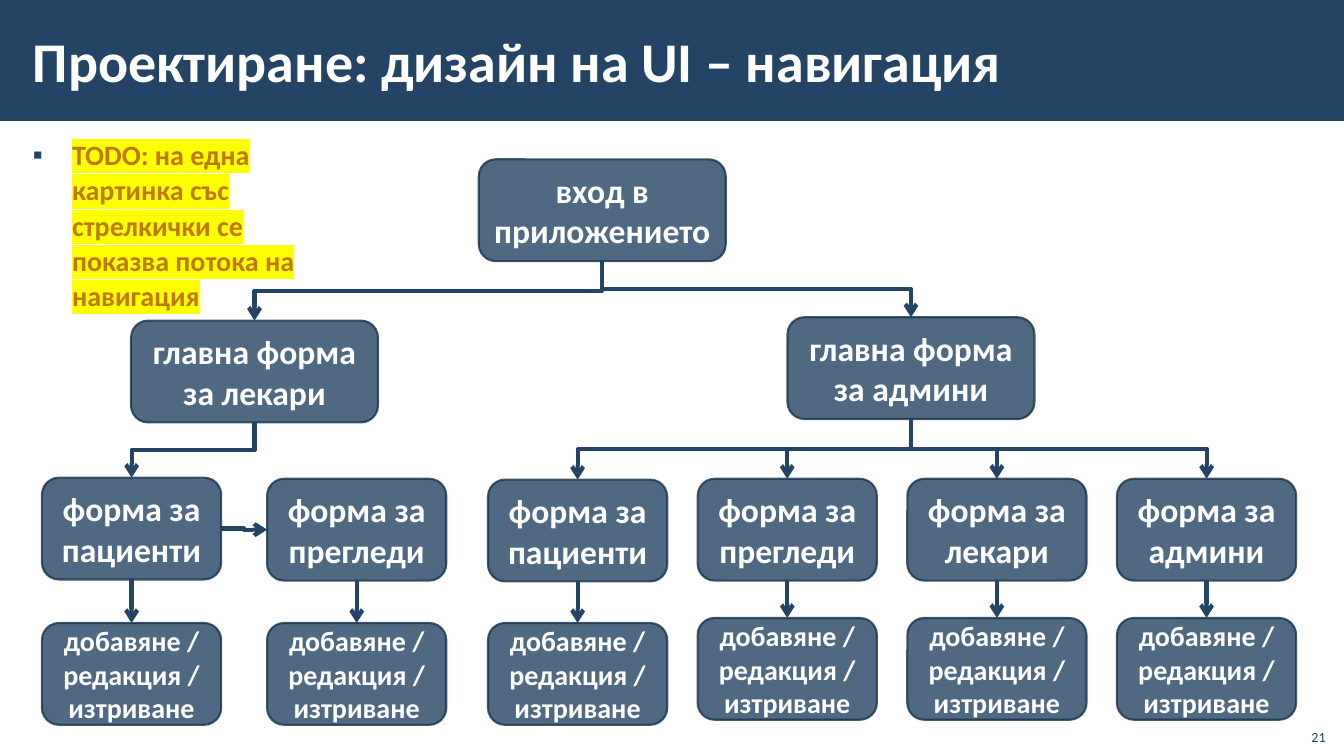
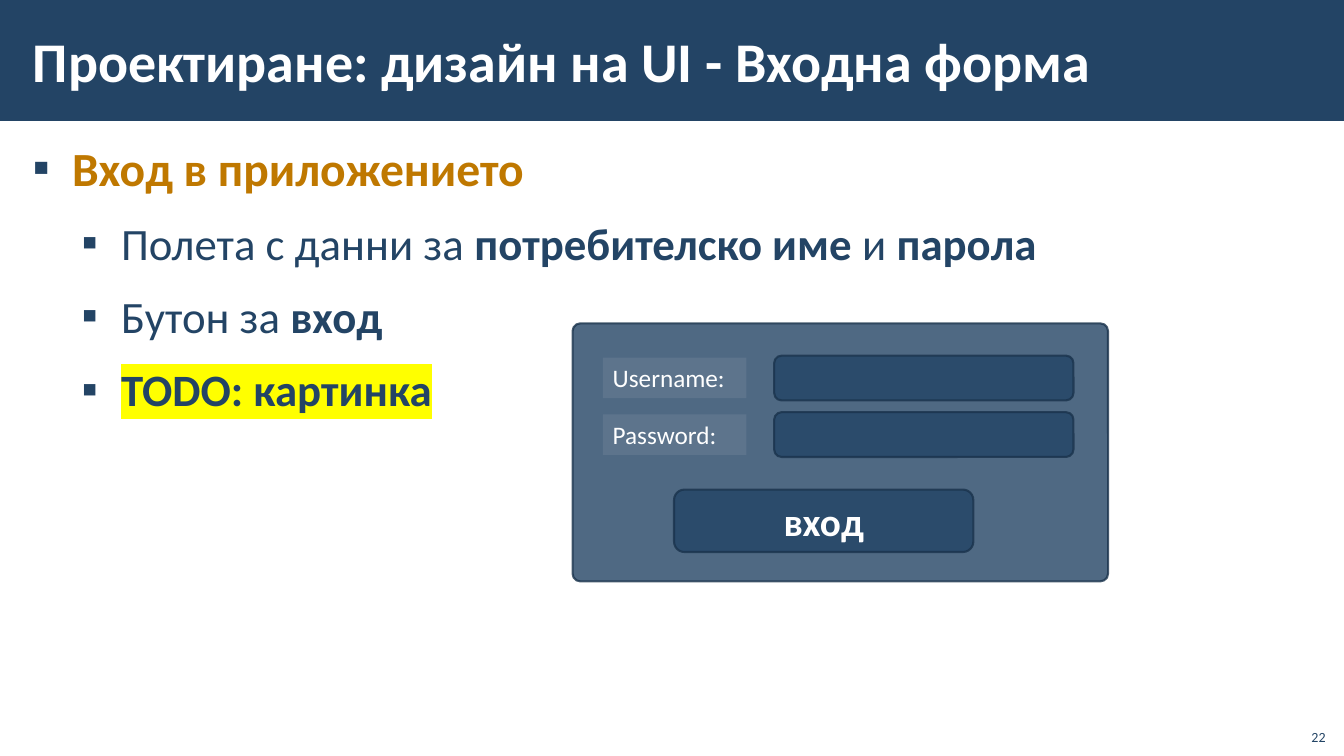
from dataclasses import dataclass

from lxml import etree
from pptx import Presentation
from pptx.dml.color import RGBColor
from pptx.enum import shapes as kinds, text as txt
from pptx.oxml import ns
from pptx.util import Pt


@dataclass(frozen=True)
class Theme:
    font: str = "Calibri"
    navy: str = "234465"
    edge: str = "1A334C"
    gold: str = "BF7800"
    white: str = "FFFFFF"
    pale: str = "ADB4C3"
    mark: str = "FFFF00"
    title: int = 40
    head: int = 34
    item: int = 32
    button: int = 28
    node: int = 24
    small: int = 20
    label: int = 18
    number: int = 10


@dataclass(frozen=True)
class Box:
    left: float
    top: float
    width: float
    height: float


@dataclass(frozen=True)
class Bit:
    text: str
    bold: bool = True
    mark: bool = False


@dataclass(frozen=True)
class Line:
    bits: tuple[Bit, ...]
    size: int
    color: str
    level: int = 0


@dataclass(frozen=True)
class Form:
    text: str
    left: float
    top: float
    edit: float  # top of the box below


LOOK = Theme()
ROUND = kinds.MSO_SHAPE.ROUNDED_RECTANGLE
RECT = kinds.MSO_SHAPE.RECTANGLE
MID = txt.MSO_ANCHOR.MIDDLE
LEFT, RIGHT = txt.PP_ALIGN.LEFT, txt.PP_ALIGN.RIGHT
CENTER = txt.PP_ALIGN.CENTER
RIM = 1.5
STROKE = 3
TOP, WEST, BASE, EAST = range(4)  # connection sites


# --- Basic helpers ---
def rgb(code: str) -> RGBColor:
    return RGBColor.from_string(code)


def sub(node, tag: str, **attrs: str):
    return etree.SubElement(node, ns.qn(tag), attrs)


def place(shape, box: Box) -> None:
    shape.left, shape.top = Pt(box.left), Pt(box.top)
    shape.width, shape.height = Pt(box.width), Pt(box.height)


def style(run, size: int, color: str, bold: bool = False) -> None:
    run.font.name = LOOK.font
    run.font.size = Pt(size)
    run.font.bold = bold
    run.font.color.rgb = rgb(color)


def fill(frame, words: str, size: int, color: str, bold: bool, align, anchor) -> None:
    frame.word_wrap = True
    frame.auto_size = txt.MSO_AUTO_SIZE.NONE
    frame.vertical_anchor = anchor
    frame.text = words
    para = frame.paragraphs[0]
    para.alignment = align
    for run in para.runs:
        style(run, size, color, bold)


def block(slide, box: Box, kind=ROUND, color: str = LOOK.navy, alpha: int = 80, rim: bool = True):
    shape = slide.shapes.add_shape(
        kind, Pt(box.left), Pt(box.top), Pt(box.width), Pt(box.height))
    shape.shadow.inherit = False
    shape.fill.solid()
    shape.fill.fore_color.rgb = rgb(color)
    if rim:
        shape.line.color.rgb = rgb(LOOK.edge)
        shape.line.width = Pt(RIM)
    else:
        shape.line.fill.background()
    if alpha < 100:
        for tint in shape._element.spPr.iter(ns.qn("a:srgbClr")):
            sub(tint, "a:alpha", val=str(alpha * 1000))
    return shape


def node(slide, words: str, box: Box, size: int = LOOK.node):
    shape = block(slide, box)
    fill(shape.text_frame, words, size, LOOK.white, True, CENTER, MID)
    return shape


# --- Connectors ---
def link(slide, start, end, elbow: bool = False, sites: tuple[int, int] = (BASE, TOP)) -> None:
    kind = kinds.MSO_CONNECTOR.ELBOW if elbow else kinds.MSO_CONNECTOR.STRAIGHT
    wire = slide.shapes.add_connector(kind, 0, 0, 0, 0)
    wire.begin_connect(start, sites[0])
    wire.end_connect(end, sites[1])
    if elbow and sites[0] == BASE:
        stand(wire)
    wire.line.color.rgb = rgb(LOOK.navy)
    wire.line.width = Pt(STROKE)
    props = wire._element.spPr
    sub(props.find(ns.qn("a:ln")), "a:tailEnd", type="arrow")
    sub(props, "a:effectLst")


def stand(wire) -> None:
    """Turn an elbow so that it leaves downwards."""
    east = wire.end_x > wire.begin_x
    midx = (wire.begin_x + wire.end_x) // 2
    midy = (wire.begin_y + wire.end_y) // 2
    wide, high = wire.height, wire.width
    wire.left, wire.top = midx - wide // 2, midy - high // 2
    wire.width, wire.height = wide, high
    frame = wire._element.spPr.find(ns.qn("a:xfrm"))
    frame.set("rot", str((270 if east else 90) * 60000))
    frame.set("flipH", "1" if east else "0")


# --- Shared page ---
def inset(frame) -> None:
    frame.margin_left = frame.margin_right = Pt(8.5)
    frame.margin_top = frame.margin_bottom = Pt(2.83)


def bullet(para, level: int) -> None:
    para.level = level
    para.line_spacing = 1.05
    para.space_after = Pt(6)
    props = para._p.get_or_add_pPr()
    props.set("marL", str(Pt(28 + 35 * level)))
    props.set("indent", str(Pt(-28)))
    sub(sub(props, "a:buClr"), "a:srgbClr", val=LOOK.navy)
    sub(props, "a:buFont", typeface=LOOK.font)
    sub(props, "a:buChar", char="▪")


def listing(frame, lines: list[Line]) -> None:
    frame.word_wrap = True
    frame.auto_size = txt.MSO_AUTO_SIZE.NONE
    frame.vertical_anchor = txt.MSO_ANCHOR.TOP
    inset(frame)
    for i, line in enumerate(lines):
        para = frame.add_paragraph() if i else frame.paragraphs[0]
        para.space_before = Pt(6 if i else 0)
        bullet(para, line.level)
        for bit in line.bits:
            run = para.add_run()
            run.text = bit.text
            style(run, line.size, line.color, bit.bold)
            if bit.mark:
                glow = etree.Element(ns.qn("a:highlight"))
                sub(glow, "a:srgbClr", val=LOOK.mark)
                run.font._element.find(ns.qn("a:solidFill")).addnext(glow)


def page(deck, number: int, title: str, width: float, lines: list[Line]):
    slide = deck.slides.add_slide(deck.slide_layouts[1])
    head, body = slide.placeholders[0], slide.placeholders[1]
    place(head, Box(15, 8, 808.5, 70))
    inset(head.text_frame)
    fill(head.text_frame, title, LOOK.title, LOOK.white, True, LEFT, MID)
    place(body, Box(15, 94.3, width, 435.6))
    listing(body.text_frame, lines)
    note = slide.shapes.add_textbox(Pt(925.2), Pt(512.6), Pt(28.8), Pt(23))
    fill(note.text_frame, str(number), LOOK.number, LOOK.navy, False,
         RIGHT, txt.MSO_ANCHOR.BOTTOM)
    return slide


def band(slide) -> None:
    """Put the title band on the layout, behind its placeholders."""
    bar = block(slide, Box(0, 0, 960, 86.4), RECT, alpha=100, rim=False)
    slide.slide_layout.shapes._spTree.insert(2, bar._element)


# --- Slide: navigation tree ---
def column(slide, form: Form):
    top = node(slide, form.text, Box(form.left, form.top, 128, 72.7))
    edit = node(slide, "добавяне / редакция / изтриване",
                Box(form.left, form.edit, 128, 72.7), LOOK.small)
    link(slide, top, edit)
    return top


def tree(deck):
    todo = "TODO: на една картинка със стрелкички се показва потока на навигация"
    slide = page(deck, 21, "Проектиране: дизайн на UI – навигация", 234.7,
                 [Line((Bit(todo, mark=True),), LOOK.small, LOOK.gold)])
    entry, doctor, admin = (
        node(slide, words, Box(left, top, 176.4, 72.7))
        for words, left, top in (
            ("вход в приложението", 342, 113.8),
            ("главна форма за лекари", 93.6, 229),
            ("главна форма за админи", 562.5, 226.6)))
    for main_form in (doctor, admin):
        link(slide, entry, main_form, elbow=True)

    first = column(slide, Form("форма за пациенти", 30, 341.2, 445))
    second = column(slide, Form("форма за прегледи", 190.8, 342, 445))
    link(slide, doctor, first, elbow=True)
    link(slide, first, second, elbow=True, sites=(EAST, WEST))

    rows = (("пациенти", 342.6, 445), ("прегледи", 342, 441.4),
            ("лекари", 342, 441.4), ("админи", 342, 441.4))
    for i, (who, top, edit) in enumerate(rows):
        form = Form(f"форма за {who}", 348.6 + 149.75 * i, top, edit)
        link(slide, admin, column(slide, form), elbow=True)
    return slide


# --- Slide: login form ---
def login(deck) -> None:
    items = (
        (Bit("Полета с данни за ", False), Bit("потребителско име"),
         Bit(" и ", False), Bit("парола")),
        (Bit("Бутон за ", False), Bit("вход")),
        (Bit("TODO: картинка", mark=True),))
    lines = [Line((Bit("Вход в приложението"),), LOOK.head, LOOK.gold)]
    lines += [Line(bits, LOOK.item, LOOK.navy, 1) for bits in items]
    slide = page(deck, 22, "Проектиране: дизайн на UI - Входна форма", 930.2, lines)

    panel = block(slide, Box(409, 231, 382.5, 184.3))
    panel.adjustments[0] = 0.03
    node(slide, "вход", Box(481.5, 349.7, 213.8, 44.6), LOOK.button)
    for i, words in enumerate(("Username:", "Password:")):
        top = 254 + 40.4 * i
        block(slide, Box(553, top, 213.8, 32))
        tag = block(slide, Box(430.6, top + 1.5, 102.6, 29), RECT, LOOK.pale, 15, False)
        fill(tag.text_frame, words, LOOK.label, LOOK.white, False,
             LEFT, txt.MSO_ANCHOR.TOP)


def main() -> None:
    deck = Presentation()
    deck.slide_width, deck.slide_height = Pt(960), Pt(540)
    band(tree(deck))
    login(deck)
    deck.save("out.pptx")


if __name__ == "__main__":
    main()
